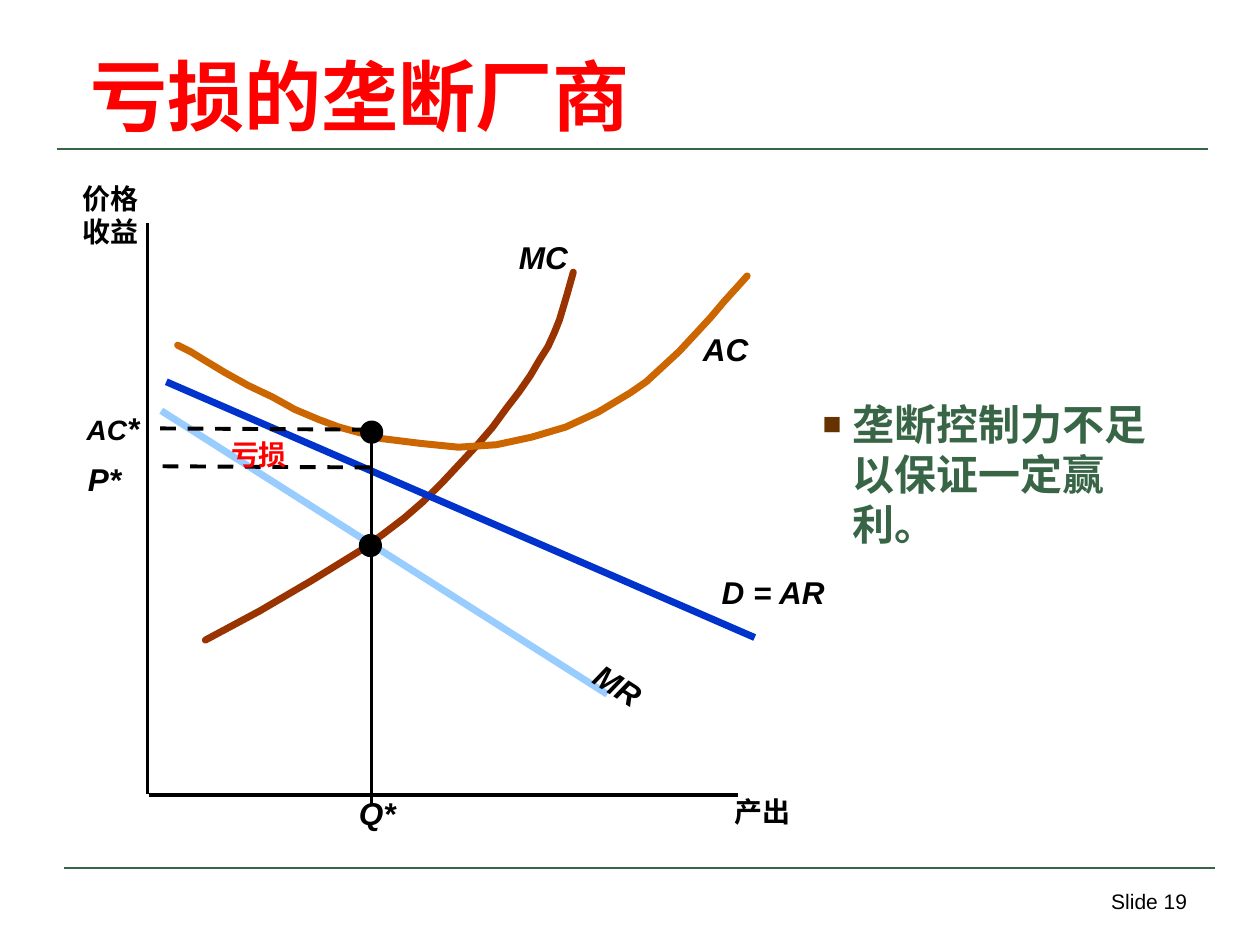
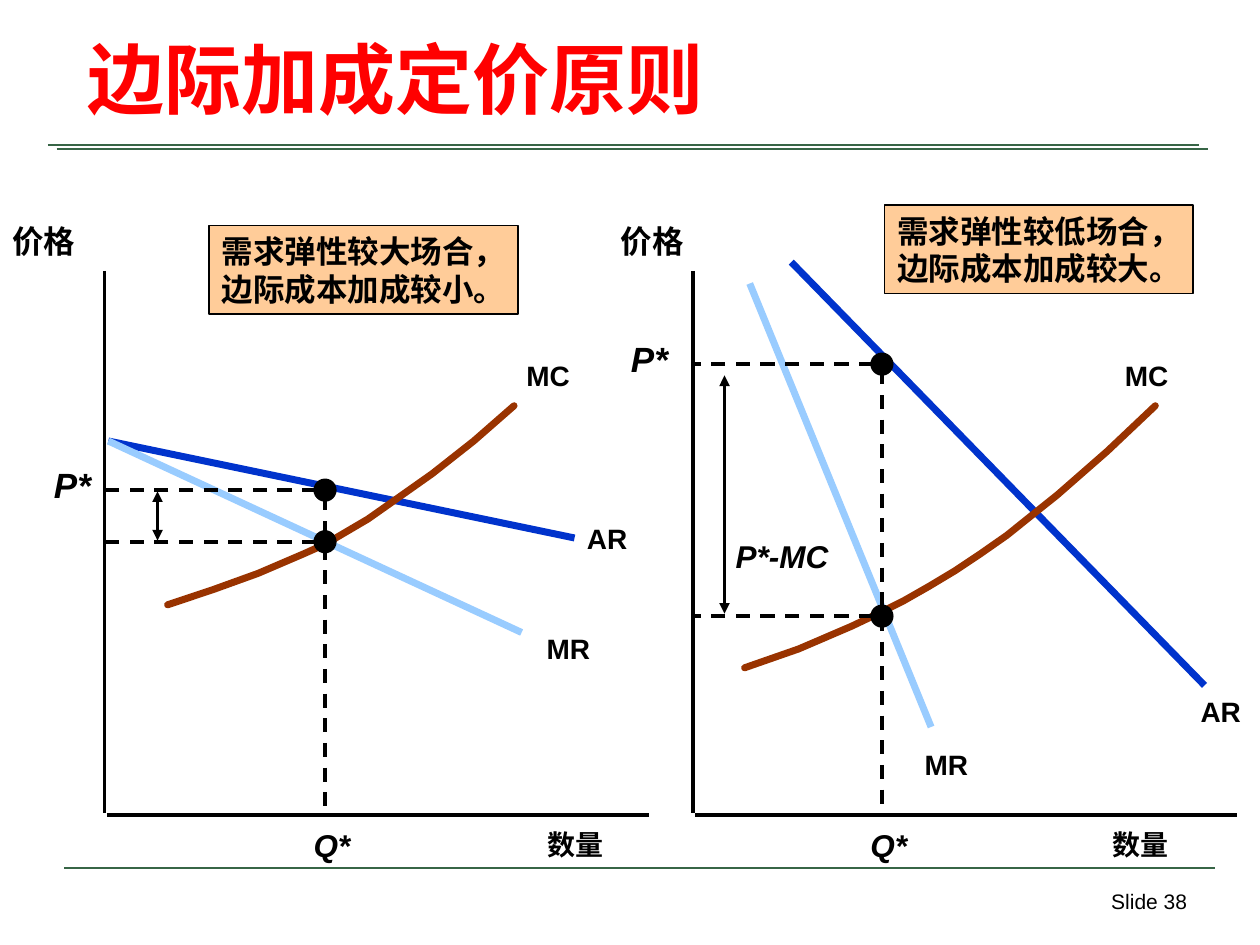
"""Two economics slides: a monopolist at a loss, and markup pricing."""
from lxml import etree
from pptx import Presentation, util as u
from pptx.dml.color import RGBColor
from pptx.enum import dml, shapes, text
from pptx.oxml.ns import qn

FONT = "Arial"
BLACK = RGBColor(0, 0, 0)
RED = RGBColor(0xFF, 0, 0)
GREEN = RGBColor(0x37, 0x65, 0x46)
BROWN = RGBColor(0x66, 0x33, 0)
PEACH = RGBColor(0xFF, 0xCC, 0x99)
DEMAND = RGBColor(0, 0x33, 0xCC)
REVENUE = RGBColor(0x99, 0xCC, 0xFF)
MARGINAL_COST = RGBColor(0x99, 0x33, 0)
AVERAGE_COST = RGBColor(0xCC, 0x66, 0)
CURVE = 4
AXIS = 2
DOT = 0.17
SLACK = 0.04  # spare width that keeps a label on one line


def inch(value):
    """Turn a position on the 10 by 7.5 inch grid into a length."""
    return u.Cm(value * 2.54)


def add_line(slide, start, end, color=BLACK, width=AXIS, dashed=False, arrows=False):
    """Draw a straight line, dashed or with an arrowhead at both ends."""
    line = slide.shapes.add_connector(
        shapes.MSO_CONNECTOR.STRAIGHT, *map(inch, (*start, *end)))
    line.line.color.rgb = color
    line.line.width = u.Pt(width)
    if dashed:
        line.line.dash_style = dml.MSO_LINE.DASH
    if arrows:
        outline = line.line._get_or_add_ln()
        for tag in ("a:headEnd", "a:tailEnd"):
            etree.SubElement(outline, qn(tag), type="triangle")
    etree.SubElement(line._element.spPr, qn("a:effectLst"))


def add_curve(slide, points, color):
    """Draw an open curve with round ends through the points."""
    points = [(inch(x), inch(y)) for x, y in points]
    builder = slide.shapes.build_freeform(*points[0])
    builder.add_line_segments(points[1:], close=False)
    curve = builder.convert_to_shape()
    curve.shadow.inherit = False
    curve.fill.background()
    curve.line.color.rgb = color
    curve.line.width = u.Pt(CURVE)
    curve.line._get_or_add_ln().set("cap", "rnd")


def add_filled(slide, kind, box, fill):
    """Add a preset shape with a plain fill and a thin black border."""
    shape = slide.shapes.add_shape(kind, *map(inch, box))
    shape.shadow.inherit = False
    shape.fill.solid()
    shape.fill.fore_color.rgb = fill
    shape.line.color.rgb = BLACK
    shape.line.width = u.Pt(1)
    return shape


def add_dot(slide, x, y):
    """Mark a point with a black dot centred on it."""
    add_filled(slide, shapes.MSO_SHAPE.OVAL,
               (x - DOT / 2, y - DOT / 2, DOT, DOT), BLACK)


def write(shape, lines, size, color=BLACK, bold=True, italic=False,
          align=text.PP_ALIGN.LEFT, wrap=False, grow=True):
    """Put styled lines into a shape, one paragraph a line."""
    frame = shape.text_frame
    frame.text = lines
    frame.word_wrap = wrap
    frame.vertical_anchor = text.MSO_ANCHOR.TOP
    if grow:
        frame.auto_size = text.MSO_AUTO_SIZE.SHAPE_TO_FIT_TEXT
    for paragraph in frame.paragraphs:
        paragraph.alignment = align
        font = paragraph.font
        font.name, font.size = FONT, u.Pt(size)
        font.bold, font.italic = bold, italic
        font.color.rgb = color
    return frame


def add_label(slide, lines, left, top, width, size=18, **style):
    """Add a text box whose height follows from its lines."""
    height = (lines.count("\n") + 1) * size * 1.2 / 72 + 0.1
    box = slide.shapes.add_textbox(
        *map(inch, (left, top, width + SLACK, height)))
    write(box, lines, size, **style)
    return box


def add_callout(slide, lines, left, top, align):
    """Add a peach box with two lines of text."""
    box = add_filled(slide, shapes.MSO_SHAPE.RECTANGLE,
                     (left, top, 2.45, 0.7), PEACH)
    write(box, lines, 18, align=align)


def add_bullet(slide, words, left, top, width, height):
    """Add a green paragraph with a small square bullet."""
    box = slide.shapes.add_textbox(*map(inch, (left, top, width, height)))
    paragraph = write(box, words, 24, color=GREEN, wrap=True).paragraphs[0]
    paragraph.space_before = u.Pt(15)
    properties = paragraph._p.get_or_add_pPr()
    indent = inch(0.24)
    properties.set("marL", str(indent))
    properties.set("indent", str(-indent))
    properties.set("hangingPunct", "0")
    bullet_color = etree.Element(qn("a:buClr"))
    etree.SubElement(bullet_color, qn("a:srgbClr"), val=str(BROWN))
    bullet = [bullet_color,
              etree.Element(qn("a:buSzPct"), val="75000"),
              etree.Element(qn("a:buFont"), typeface=FONT),
              etree.Element(qn("a:buChar"), char="■")]
    position = list(properties).index(properties.find(qn("a:defRPr")))
    properties[position:position] = bullet


def add_frame(presentation, title, number, box):
    """Start a slide with its rules, number and title."""
    slide = presentation.slides.add_slide(presentation.slide_layouts[6])
    add_line(slide, (0.45, 1.18), (9.59, 1.18), GREEN, 1)
    add_line(slide, (0.51, 6.89), (9.64, 6.89), GREEN, 1.5)
    footer = slide.shapes.add_textbox(*map(inch, (8.32, 7, 1.2, 0.5)))
    write(footer, f"Slide {number}", 12, bold=False, wrap=True, grow=False,
          align=text.PP_ALIGN.RIGHT)
    heading = slide.shapes.add_textbox(*map(inch, box))
    frame = write(heading, title, 44, color=RED, wrap=True, grow=False)
    frame.vertical_anchor = text.MSO_ANCHOR.BOTTOM
    return slide


def build_loss_slide(presentation):
    """Show average cost above price at the chosen output."""
    slide = add_frame(presentation, "亏损的垄断厂商", 19, (0.62, 0.24, 9.08, 0.93))
    add_bullet(slide, "垄断控制力不足以保证一定赢利。", 6.43, 3.11, 2.93, 0.9)

    add_curve(slide, [
        (1.63, 5.08), (2.06, 4.85), (2.47, 4.61), (2.86, 4.37), (3.04, 4.24),
        (3.21, 4.11), (3.36, 3.98), (3.51, 3.83), (3.79, 3.53), (3.91, 3.39),
        (4.02, 3.24), (4.12, 3.11), (4.21, 2.98), (4.28, 2.86), (4.35, 2.75),
        (4.4, 2.64), (4.44, 2.54), (4.5, 2.34), (4.55, 2.16)], MARGINAL_COST)
    add_label(slide, "MC", 4.02, 1.84, 0.59, italic=True)
    add_curve(slide, [
        (1.41, 2.74), (1.51, 2.79), (1.64, 2.87), (1.79, 2.96), (1.97, 3.06),
        (2.16, 3.15), (2.34, 3.25), (2.53, 3.33), (2.69, 3.39), (3.02, 3.48),
        (3.34, 3.52), (3.64, 3.55), (3.94, 3.53), (4.22, 3.47), (4.49, 3.39),
        (4.75, 3.27), (5, 3.12), (5.13, 3.03), (5.26, 2.91), (5.39, 2.79),
        (5.52, 2.65), (5.64, 2.52), (5.75, 2.39), (5.85, 2.28), (5.93, 2.19)],
        AVERAGE_COST)
    add_label(slide, "AC", 5.48, 2.57, 0.56, italic=True)

    add_line(slide, (1.17, 1.77), (1.17, 6.3))
    add_line(slide, (1.18, 6.31), (5.86, 6.31))
    add_label(slide, "产出", 5.73, 6.26, 0.64, 16)
    add_label(slide, "价格\n收益", 0.56, 1.39, 0.64, 16)

    add_line(slide, (1.32, 3.03), (5.99, 5.06), DEMAND, CURVE)
    add_label(slide, "D = AR", 5.63, 4.5, 1.02, italic=True)
    add_line(slide, (1.28, 3.26), (4.82, 5.51), REVENUE, CURVE)
    add_label(slide, "MR", 4.61, 5.25, 0.59, italic=True).rotation = 32.8

    add_line(slide, (2.95, 3.43), (2.95, 6.38))
    add_line(slide, (2.92, 3.41), (1.17, 3.4), width=2.25, dashed=True)
    add_dot(slide, 2.95, 3.43)
    add_label(slide, "P*", 0.6, 3.6, 0.46, italic=True)
    add_label(slide, "Q*", 2.75, 6.25, 0.49, italic=True)
    add_dot(slide, 2.94, 4.33)
    add_line(slide, (2.94, 3.71), (1.2, 3.7), width=2.25, dashed=True)
    add_label(slide, "亏损", 1.2, 3.42, 1.67, 16, color=RED, wrap=True,
              align=text.PP_ALIGN.CENTER)
    average = add_label(slide, "AC", 0.59, 3.2, 0.62, 16, italic=True)
    star = average.text_frame.paragraphs[0].add_run()
    star.text = "*"
    star.font.size = u.Pt(18)


def add_markup_panel(slide, axis, quantity, price, cost, demand, revenue,
                     cost_curve, arrow, labels):
    """Draw one price diagram with its markup between price and cost."""
    bottom = 6.45
    add_line(slide, (axis, 2.15), (axis, bottom))
    add_line(slide, (axis + 0.02, 6.47), (axis + 4.32, 6.47))
    add_line(slide, *demand, DEMAND, CURVE)
    add_line(slide, *revenue, REVENUE, CURVE)
    add_curve(slide, cost_curve, MARGINAL_COST)
    for level in (price, cost):
        add_dot(slide, quantity, level)
        add_line(slide, (quantity - 0.07, level), (axis - 0.01, level), dashed=True)
    add_line(slide, (quantity, price + 0.05), (quantity, bottom), dashed=True)
    add_line(slide, *arrow, arrows=True)
    add_label(slide, "Q*", quantity - 0.19, 6.51, 0.49, italic=True)
    for words, left, top, width, size, italic in labels:
        add_label(slide, words, left, top, width, size, italic=italic)


def build_markup_slide(presentation):
    """Compare the markup under elastic and inelastic demand."""
    slide = add_frame(presentation, "边际加成定价原则", 38, (0.6, 0.25, 8.73, 0.78))
    add_line(slide, (0.38, 1.15), (9.52, 1.15), GREEN, 1)

    add_markup_panel(
        slide, axis=0.83, quantity=2.58, price=3.89, cost=4.3,
        demand=((0.86, 3.5), (4.56, 4.27)),
        revenue=((0.86, 3.5), (4.14, 5.02)),
        cost_curve=[
            (1.33, 4.8), (1.69, 4.68), (2.05, 4.55), (2.4, 4.4), (2.58, 4.32),
            (2.75, 4.22), (2.92, 4.12), (3.09, 4), (3.43, 3.76), (3.76, 3.5),
            (4.08, 3.22)],
        arrow=((1.25, 3.9), (1.25, 4.29)),
        labels=[
            ("价格", 0, 1.71, 0.7, 18, False),
            ("数量", 4.25, 6.52, 0.64, 16, False),
            ("AR", 4.56, 4.09, 0.52, 16, False),
            ("MR", 4.24, 4.96, 0.54, 16, False),
            ("MC", 4.08, 2.8, 0.54, 16, False),
            ("P*", 0.33, 3.63, 0.49, 20, True)])
    add_markup_panel(
        slide, axis=5.5, quantity=7, price=2.89, cost=4.89,
        demand=((6.28, 2.08), (9.56, 5.44)),
        revenue=((5.95, 2.25), (7.39, 5.77)),
        cost_curve=[
            (5.91, 5.3), (6.34, 5.15), (6.76, 4.97), (6.97, 4.87), (7.17, 4.77),
            (7.38, 4.65), (7.58, 4.53), (7.79, 4.39), (7.99, 4.25), (8.19, 4.09),
            (8.39, 3.93), (8.79, 3.58), (9.17, 3.22)],
        arrow=((5.75, 2.98), (5.75, 4.87)),
        labels=[
            ("价格", 4.83, 1.71, 0.7, 18, False),
            ("数量", 8.73, 6.52, 0.64, 16, False),
            ("AR", 9.43, 5.46, 0.52, 16, False),
            ("MR", 7.24, 5.88, 0.54, 16, False),
            ("MC", 8.83, 2.8, 0.54, 16, False),
            ("P*", 4.91, 2.63, 0.49, 20, True),
            ("P*-MC", 5.74, 4.21, 0.93, 18, True)])

    add_callout(slide, "需求弹性较大场合，\n边际成本加成较小。", 1.66, 1.79,
                text.PP_ALIGN.LEFT)
    add_callout(slide, "需求弹性较低场合，\n边际成本加成较大。", 7.02, 1.63,
                text.PP_ALIGN.CENTER)


def main():
    """Build both slides and save them."""
    presentation = Presentation()
    presentation.slide_width = inch(10)
    presentation.slide_height = inch(7.5)
    build_loss_slide(presentation)
    build_markup_slide(presentation)
    presentation.save("out.pptx")


main()
